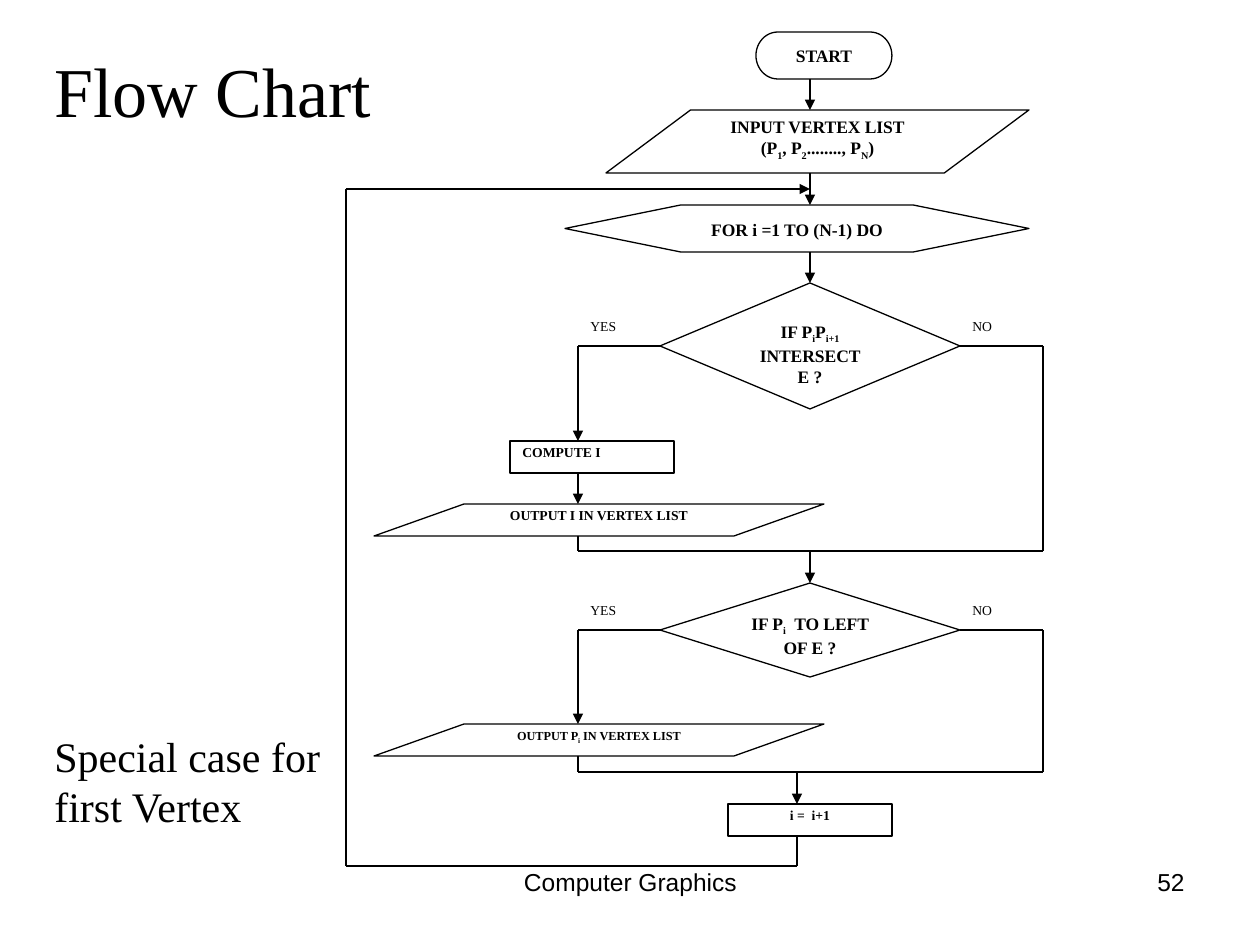
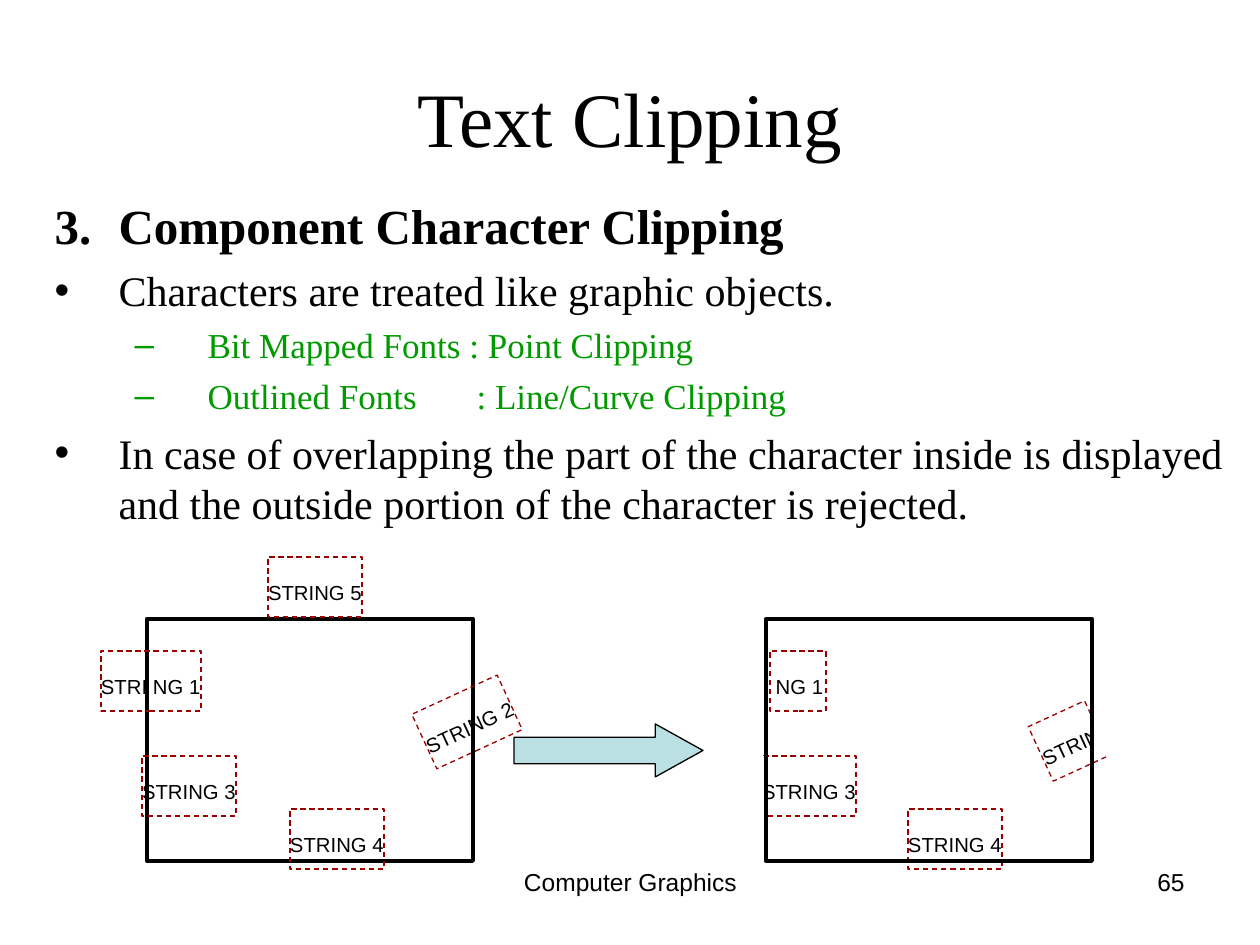
import itertools

import pptx
import pptx.dml.color
import pptx.enum.dml
import pptx.enum.shapes
import pptx.enum.text
import pptx.oxml
import pptx.oxml.ns
import pptx.util

PX = 914400 / 126
SERIF, SANS = "Times New Roman", "Arial"
COLORS = {"ink": "000000", "paper": "FFFFFF", "item": "009900",
          "dash": "990000", "arrow": "BBE0E3"}
SHAPE = pptx.enum.shapes.MSO_SHAPE
ALIGN = pptx.enum.text.PP_ALIGN
ANCHOR = pptx.enum.text.MSO_ANCHOR
FIT = pptx.enum.text.MSO_AUTO_SIZE

FOOTER = "Computer Graphics"
FOOTER_BOX = (431, 861, 399, 66)
NUMBER_BOX = (903, 861, 294, 66)

FLOW_TITLE = "Flow Chart"
FLOW_NOTE = "Special case for first Vertex"
LOOP_X, YES_X, TRUNK_X, NO_X, STEP_X = 346, 578, 810, 1043, 797
DECISION_LEFT, DECISION_RIGHT = 660, 960
FLOW_NODES = [
    (SHAPE.FLOWCHART_TERMINATOR, (756, 32, 136, 47), ["START"], 10, ALIGN.CENTER),
    (SHAPE.FLOWCHART_DATA, (606, 110, 423, 63),
     ["INPUT VERTEX LIST", "(P~1~, P~2~........, P~N~)"], 10, ALIGN.CENTER),
    (SHAPE.HEXAGON, (565, 205, 464, 47), ["FOR i =1 TO (N-1) DO"], 10, ALIGN.CENTER),
    (SHAPE.FLOWCHART_DECISION, (660, 283, 300, 126),
     ["IF P~i~P~i+1~ INTERSECT E ?"], 10, ALIGN.CENTER),
    (SHAPE.FLOWCHART_PROCESS, (510, 441, 164, 32), ["COMPUTE I"], 7.8, ALIGN.LEFT),
    (SHAPE.FLOWCHART_DATA, (374, 504, 450, 32),
     ["OUTPUT I IN VERTEX LIST"], 7.8, ALIGN.CENTER),
    (SHAPE.FLOWCHART_DECISION, (660, 583, 300, 94),
     ["IF P~i~  TO LEFT OF E ?"], 10, ALIGN.CENTER),
    (SHAPE.FLOWCHART_DATA, (374, 724, 450, 32),
     ["OUTPUT P~i~ IN VERTEX LIST"], 7, ALIGN.CENTER),
    (SHAPE.FLOWCHART_PROCESS, (728, 804, 164, 32), ["i =  i+1"], 7.8, ALIGN.CENTER),
]
TRUNK_ARROWS = [(79, 110), (173, 205), (252, 283), (551, 583)]
BRANCHES = [
    {"decision": 346, "yes_step": 441, "output_end": 536, "merge": 551},
    {"decision": 630, "yes_step": 724, "output_end": 756, "merge": 772},
]
FLOW_ROUTES = [
    ([(YES_X, 473), (YES_X, 504)], True),
    ([(STEP_X, 772), (STEP_X, 804)], True),
    ([(STEP_X, 836), (STEP_X, 866), (LOOP_X, 866), (LOOP_X, 189), (TRUNK_X, 189)], True),
]

CLIP_TITLE = "Text Clipping"
CLIP_LEVELS = {
    "head": {"level": 0, "size": 28, "bold": True, "color": "ink", "bullet": None,
             "left": 64, "hang": 64, "before": 7},
    "point": {"level": 0, "size": 24, "bold": False, "color": "ink", "bullet": "•",
              "left": 64, "hang": 64, "before": 6},
    "sub": {"level": 1, "size": 20, "bold": False, "color": "item", "bullet": "–",
            "left": 153, "hang": 73, "before": 5, "tab": 422},
}
CLIP_BODY = [
    ("head", "3.\tComponent Character Clipping"),
    ("point", "Characters are treated like graphic objects."),
    ("sub", "Bit Mapped Fonts : Point Clipping"),
    ("sub", "Outlined Fonts\t: Line/Curve Clipping"),
    ("point", "In case of overlapping the part of the character inside is displayed "
              "and the outside portion of the character is rejected."),
]
WINDOW_SIZE = (326, 242)
WINDOW_BEFORE, WINDOW_AFTER = (147, 619), (766, 619)
STRING_HEIGHT, TILT = 60, 335.3
STRINGS_BEFORE = [
    ("STRI NG 1", 101, 651, 100, 0),
    ("STRING 2", 420, 692, 94, TILT),
    ("STRING 3", 142, 756, 94, 0),
    ("STRING 4", 290, 809, 94, 0),
    ("STRING 5", 268, 557, 94, 0),
]
STRINGS_AFTER = [
    (" NG 1", 770, 651, 56, 0),
    ("STRING 4", 908, 809, 94, 0),
    ("STRIN", 1038, 711, 62, TILT),
    ("STRING 3", 762, 756, 94, 0),
]
COVERS = [(1092, 693, 10, 53), (1102, 724, 21, 32), (746, 756, 21, 63)]
ARROW_BOX = (514, 724, 189, 53)


def emu(*lengths):
    return [pptx.util.Emu(round(n * PX)) for n in lengths]


def rgb(name):
    return pptx.dml.color.RGBColor.from_string(COLORS[name])


def add_xml(parent, tag, **attrs):
    child = pptx.oxml.parse_xml(f"<a:{tag} {pptx.oxml.ns.nsdecls('a')}/>")
    for name, value in attrs.items():
        child.set(name, str(value))
    parent.append(child)
    return child


def format_font(p, size, font=SERIF, color="ink", bold=False):
    p.font.size = pptx.util.Pt(size)
    p.font.name = font
    p.font.bold = bold
    p.font.color.rgb = rgb(color)


def write(tf, lines, size, align=ALIGN.LEFT, spacing=None, **font):
    for i, line in enumerate(lines):
        p = tf.add_paragraph() if i else tf.paragraphs[0]
        p.alignment = align
        if spacing:
            p.line_spacing = spacing
        for j, part in enumerate(line.split("~")):
            if part:
                r = p.add_run()
                r.text = part
                if j % 2:
                    r._r.get_or_add_rPr().set("baseline", "-25000")
        format_font(p, size, **font)


def add_text(s, box, text, size, align=ALIGN.LEFT, spacing=None, **font):
    tf = s.shapes.add_textbox(*emu(*box)).text_frame
    tf.word_wrap = True
    write(tf, [text], size, align, spacing, **font)


def add_box(s, kind, box, fill=None, line="ink", width=0.75):
    sp = s.shapes.add_shape(kind, *emu(*box))
    sp.shadow.inherit = False
    if fill:
        sp.fill.solid()
        sp.fill.fore_color.rgb = rgb(fill)
    else:
        sp.fill.background()
    if line:
        sp.line.color.rgb = rgb(line)
        sp.line.width = pptx.util.Pt(width)
    else:
        sp.line.fill.background()
    sp.text_frame.vertical_anchor = ANCHOR.TOP
    return sp


def add_route(s, points, arrow):
    for start, end in itertools.pairwise(points):
        cx = s.shapes.add_connector(
            pptx.enum.shapes.MSO_CONNECTOR.STRAIGHT, *emu(*start, *end))
        cx.line.color.rgb = rgb("ink")
        cx.line.width = pptx.util.Pt(0.75)
        if arrow and end == points[-1]:
            add_xml(cx.line._get_or_add_ln(), "tailEnd", type="triangle")
        add_xml(cx._element.spPr, "effectLst")


def place(sp, box):
    sp.left, sp.top, sp.width, sp.height = emu(*box)
    sp.text_frame.auto_size = FIT.NONE
    return sp.text_frame


def start_slide(prs, layout, title, box, size, align, number):
    s = prs.slides.add_slide(prs.slide_layouts[layout])
    tf = place(s.shapes.title, box)
    tf.vertical_anchor = ANCHOR.MIDDLE
    write(tf, [title], size, align)
    add_text(s, FOOTER_BOX, FOOTER, 14, ALIGN.CENTER, font=SANS)
    add_text(s, NUMBER_BOX, number, 14, ALIGN.RIGHT, font=SANS)
    return s


def build_flow_chart(prs):
    s = start_slide(prs, 5, FLOW_TITLE, (42, 32, 494, 116), 40, ALIGN.LEFT, "52")
    for kind, box, lines, size, align in FLOW_NODES:
        sp = add_box(s, kind, box, "paper")
        if kind == SHAPE.HEXAGON:
            sp.adjustments[0] = 2.46
        write(sp.text_frame, lines, size, align, 0.8 if size < 10 else None, bold=True)
    for top, bottom in TRUNK_ARROWS:
        add_route(s, [(TRUNK_X, top), (TRUNK_X, bottom)], True)
    for b in BRANCHES:
        y, merge = b["decision"], b["merge"]
        add_route(s, [(DECISION_LEFT, y), (YES_X, y), (YES_X, b["yes_step"])], True)
        add_route(s, [(DECISION_RIGHT, y), (NO_X, y), (NO_X, merge),
                      (YES_X, merge), (YES_X, b["output_end"])], False)
        for label, x in (("YES", YES_X), ("NO", DECISION_RIGHT)):
            add_text(s, (x, y - 31, 82, 32), label, 7.8, spacing=0.8)
    for points, arrow in FLOW_ROUTES:
        add_route(s, points, arrow)
    add_text(s, (42, 724, 315, 113), FLOW_NOTE, 24)


def write_list(tf):
    for i, (kind, text) in enumerate(CLIP_BODY):
        look = CLIP_LEVELS[kind]
        p = tf.add_paragraph() if i else tf.paragraphs[0]
        p.level = look["level"]
        p.space_before = pptx.util.Pt(look["before"])
        pPr = p._p.get_or_add_pPr()
        left, hang = emu(look["left"], look["hang"])
        pPr.set("marL", str(left))
        pPr.set("indent", str(-hang))
        if look["bullet"]:
            add_xml(add_xml(pPr, "buClr"), "srgbClr", val=COLORS[look["color"]])
            add_xml(pPr, "buChar", char=look["bullet"])
        else:
            add_xml(pPr, "buNone")
        if "tab" in look:
            add_xml(add_xml(pPr, "tabLst"), "tab", pos=emu(look["tab"])[0], algn="l")
        p.add_run().text = text
        format_font(p, look["size"], color=look["color"], bold=look["bold"])


def add_strings(s, strings):
    for text, x, y, width, angle in strings:
        sp = add_box(s, SHAPE.RECTANGLE, (x, y, width, STRING_HEIGHT), line="dash")
        sp.line.dash_style = pptx.enum.dml.MSO_LINE.DASH
        sp.rotation = angle
        tf = sp.text_frame
        tf.margin_left = tf.margin_top = tf.margin_right = 0
        tf.margin_bottom = pptx.util.Inches(0.1)
        tf.word_wrap = False
        tf.auto_size = FIT.SHAPE_TO_FIT_TEXT
        write(tf, [f"~{text}~"], 20, font=SANS)


def build_text_clipping(prs):
    s = start_slide(prs, 1, CLIP_TITLE, (63, 38, 1134, 158), 44, ALIGN.CENTER, "65")
    write_list(place(s.placeholders[1], (42, 189, 1218, 624)))
    add_box(s, SHAPE.RECTANGLE, WINDOW_BEFORE + WINDOW_SIZE, width=2.25)
    add_strings(s, STRINGS_BEFORE)
    arrow = add_box(s, SHAPE.RIGHT_ARROW, ARROW_BOX, "arrow")
    arrow.adjustments[1] = 0.9
    add_strings(s, STRINGS_AFTER)
    for box in COVERS:
        add_box(s, SHAPE.RECTANGLE, box, "paper", None)
    add_box(s, SHAPE.RECTANGLE, WINDOW_AFTER + WINDOW_SIZE, width=2.25)


def main():
    prs = pptx.Presentation()
    prs.slide_width, prs.slide_height = emu(1260, 945)
    build_flow_chart(prs)
    build_text_clipping(prs)
    prs.save("out.pptx")


if __name__ == "__main__":
    main()
